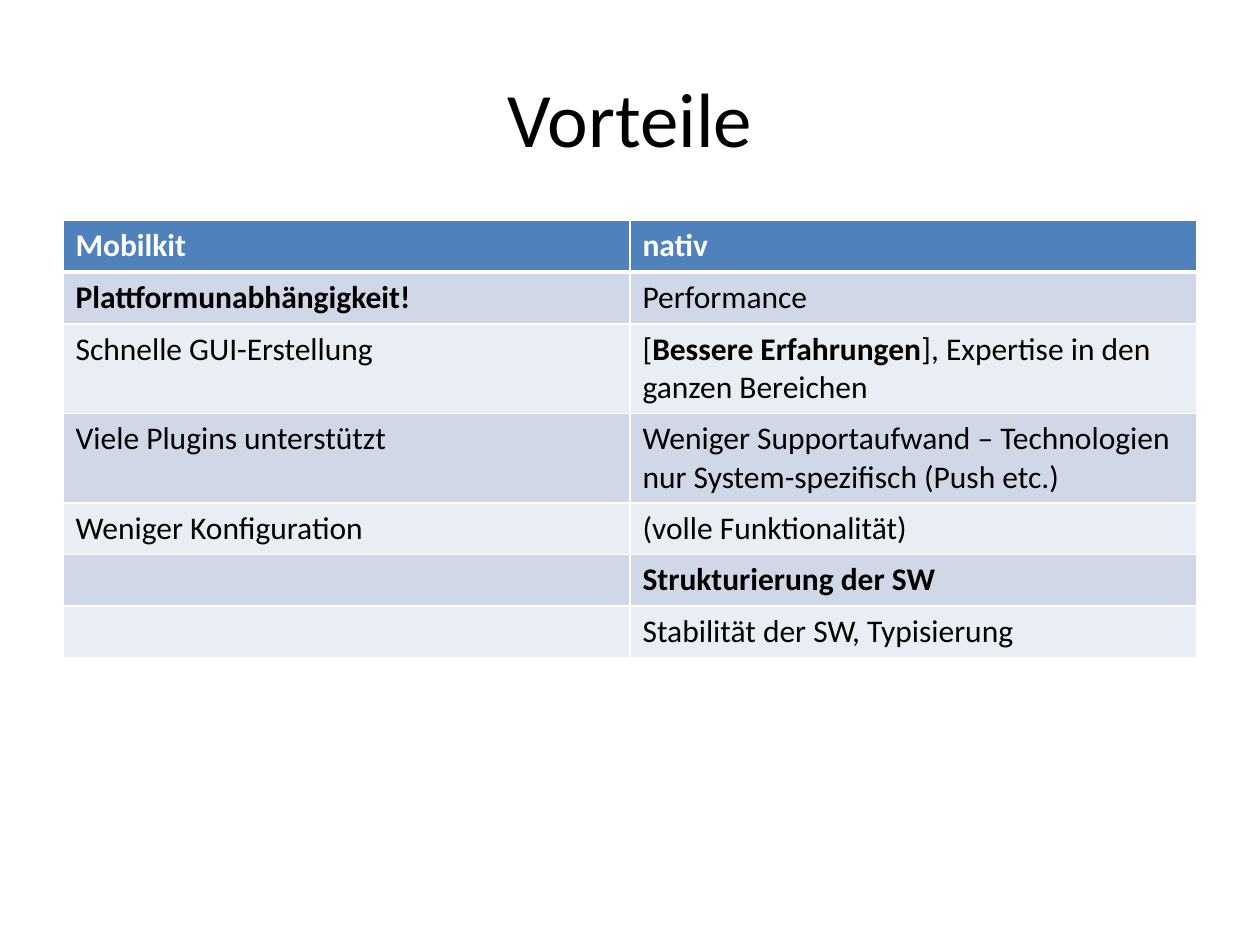
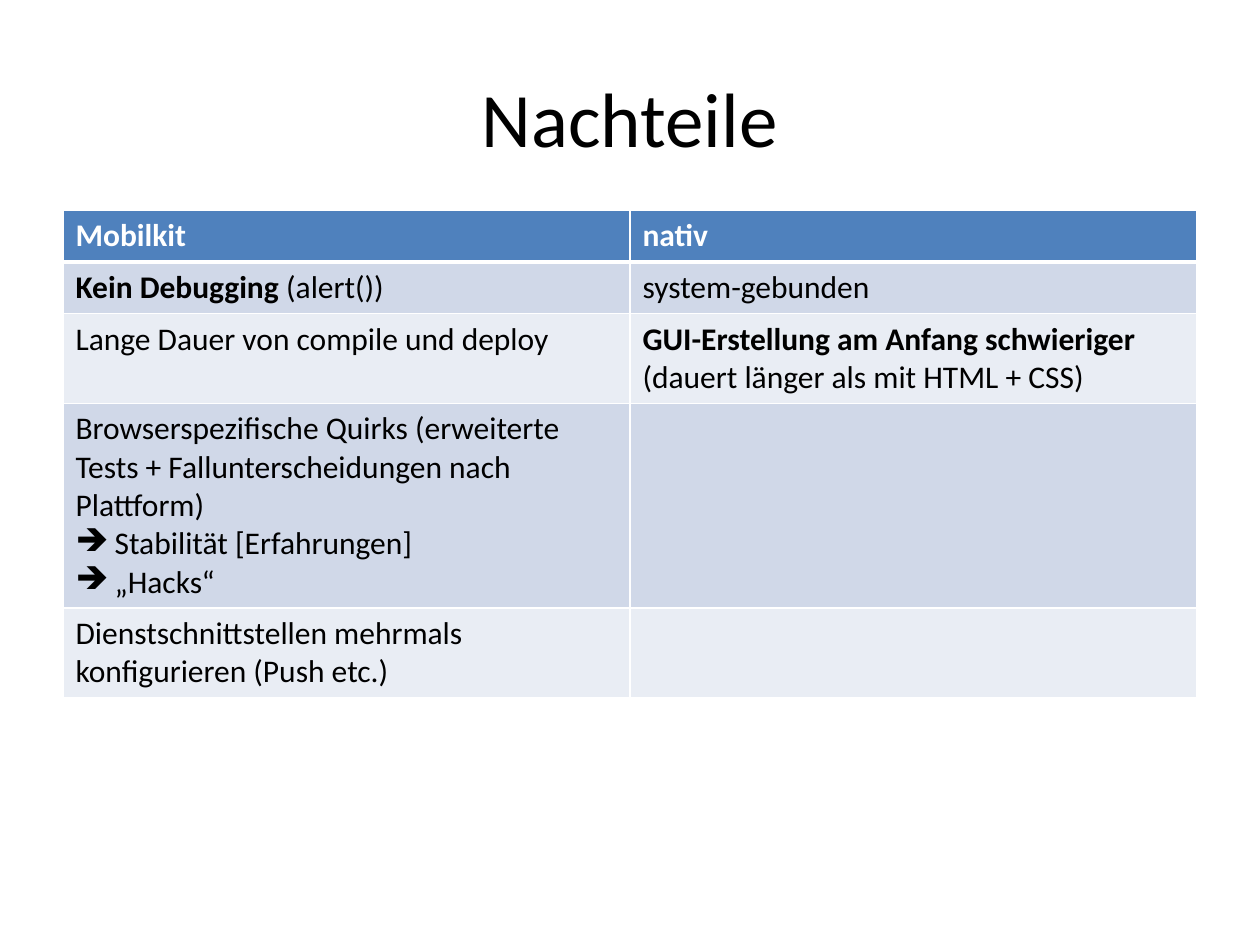
from lxml import etree
from pptx import Presentation
from pptx import util as u
from pptx.dml.color import RGBColor
from pptx.enum import text
from pptx.oxml import ns

# Shared style
FONT = "Calibri"
BLACK = RGBColor(0x00, 0x00, 0x00)
WHITE = RGBColor(0xFF, 0xFF, 0xFF)
BLUE = RGBColor(0x4F, 0x81, 0xBD)
BANDS = (RGBColor(0xE9, 0xED, 0xF4), RGBColor(0xD0, 0xD8, 0xE8))
LEFT, WIDTH = 0.5, 9
ROW, LINE = 0.41, 0.3  # height of a one-line row, and of each further line
INDENT = 0.31
ARROW = "➔"
HEAD = ("Mobilkit", "nativ")

# Each row: number of lines, then two cells; *stars* mark bold text
PROS = [
    (1, "*Plattformunabhängigkeit!*", "Performance"),
    (2, "Schnelle GUI-Erstellung",
     "[*Bessere Erfahrungen*], Expertise in den ganzen Bereichen"),
    (2, "Viele Plugins unterstützt",
     "Weniger Supportaufwand – Technologien nur System-spezifisch (Push etc.)"),
    (1, "Weniger Konfiguration", "(volle Funktionalität)"),
    (1, "", "*Strukturierung der SW*"),
    (1, "", "Stabilität der SW, Typisierung"),
]
CONS = [
    (1, "*Kein Debugging* (alert())", "system-gebunden"),
    (2, "Lange Dauer von compile und deploy",
     "*GUI-Erstellung am Anfang schwieriger *(dauert länger als mit HTML + CSS)"),
    (5, "Browserspezifische Quirks (erweiterte Tests + Fallunterscheidungen "
        "nach Plattform)\n➔Stabilität [Erfahrungen]\n➔„Hacks“", ""),
    (2, "Dienstschnittstellen mehrmals konfigurieren (Push etc.)", ""),
]


class Deck:
    def __init__(self):
        self.prs = Presentation()
        self.prs.slide_width = u.Inches(10)
        self.prs.slide_height = u.Inches(7.5)
        self.slide = None

    def page(self, title):
        """Add a slide and format its title."""
        self.slide = self.prs.slides.add_slide(self.prs.slide_layouts[5])
        box = self.slide.shapes.title
        box.left, box.top = u.Inches(LEFT), u.Inches(0.3)
        box.width, box.height = u.Inches(WIDTH), u.Inches(1.25)
        box.text_frame.vertical_anchor = text.MSO_ANCHOR.MIDDLE
        para = box.text_frame.paragraphs[0]
        para.alignment = text.PP_ALIGN.CENTER
        self.run(para, title, 44, BLACK)

    def run(self, para, words, size, color, bold=False):
        run = para.add_run()
        run.text = words
        font = run.font
        font.name, font.size, font.bold = FONT, u.Pt(size), bold
        font.color.rgb = color

    def bullet(self, para):
        props = para._p.get_or_add_pPr()
        props.set("marL", str(u.Inches(INDENT)))
        props.set("indent", str(u.Inches(-INDENT)))
        etree.SubElement(props, ns.qn("a:buChar")).set("char", ARROW)

    def border(self, cell, row):
        """Draw white cell edges, with a thick one below the header."""
        edges = {"lnL": 1, "lnR": 1,
                 "lnT": 3 if row == 1 else 1, "lnB": 3 if row == 0 else 1}
        props = cell._tc.get_or_add_tcPr()
        for spot, (tag, width) in enumerate(edges.items()):
            line = etree.Element(ns.qn("a:" + tag), w=str(u.Pt(width)))
            fill = etree.SubElement(line, ns.qn("a:solidFill"))
            etree.SubElement(fill, ns.qn("a:srgbClr"), val=str(WHITE))
            props.insert(spot, line)

    def cell(self, cell, words, row):
        cell.fill.solid()
        cell.fill.fore_color.rgb = BANDS[row % 2] if row else BLUE
        self.border(cell, row)
        frame = cell.text_frame
        for i, part in enumerate(words.split("\n")):
            para = frame.add_paragraph() if i else frame.paragraphs[0]
            para.font.size = u.Pt(18)
            if part.startswith(ARROW):
                self.bullet(para)
                part = part[len(ARROW):]
            for j, piece in enumerate(part.split("*")):
                if piece:
                    self.run(para, piece, 18, BLACK if row else WHITE,
                             row == 0 or j % 2 == 1)

    def table(self, top, body):
        rows = [(1, *HEAD), *body]
        tall = [ROW + LINE * (lines - 1) for lines, *_ in rows]
        grid = self.slide.shapes.add_table(
            len(rows), len(HEAD), u.Inches(LEFT), u.Inches(top),
            u.Inches(WIDTH), u.Inches(sum(tall))).table
        for r, (_, *cells) in enumerate(rows):
            grid.rows[r].height = u.Inches(tall[r])
            for c, words in enumerate(cells):
                self.cell(grid.cell(r, c), words, r)


def main():
    deck = Deck()

    # Advantages
    deck.page("Vorteile")
    deck.table(1.75, PROS)

    # Drawbacks
    deck.page("Nachteile")
    deck.table(1.67, CONS)

    deck.prs.save("out.pptx")


if __name__ == "__main__":
    main()
